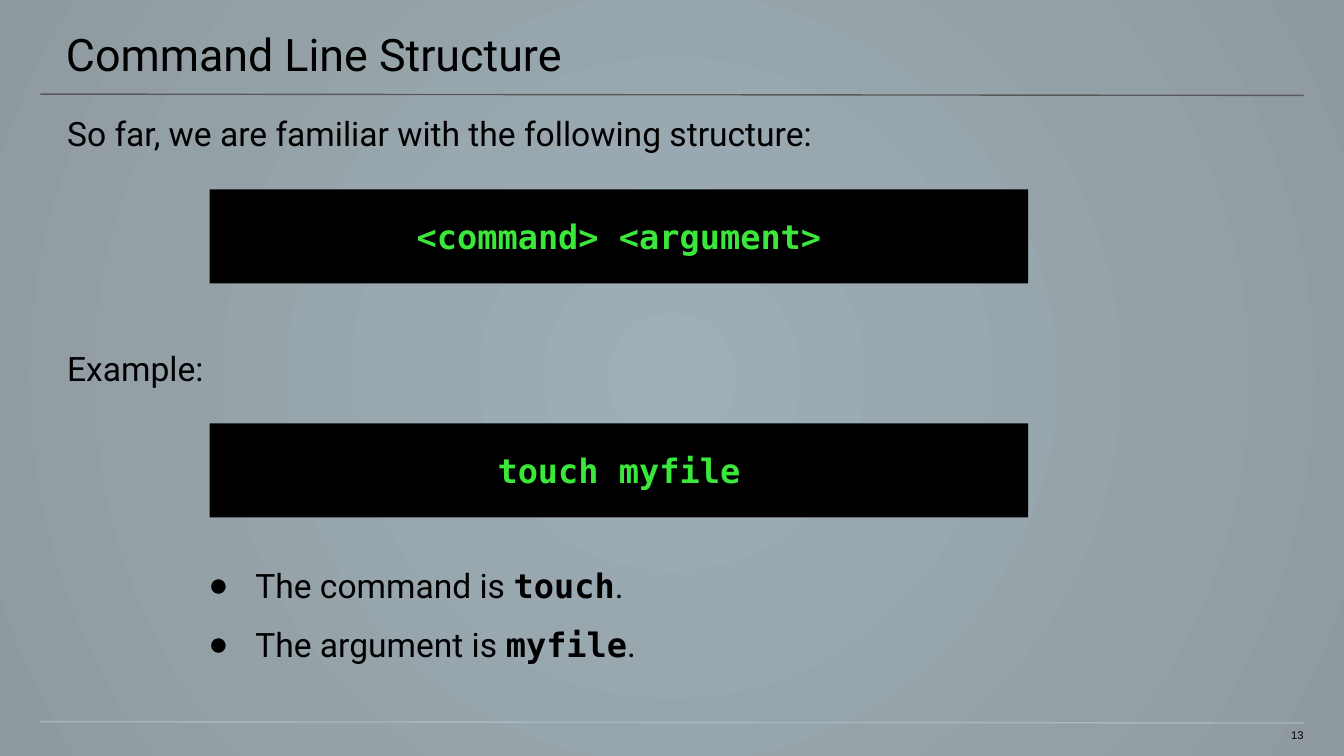
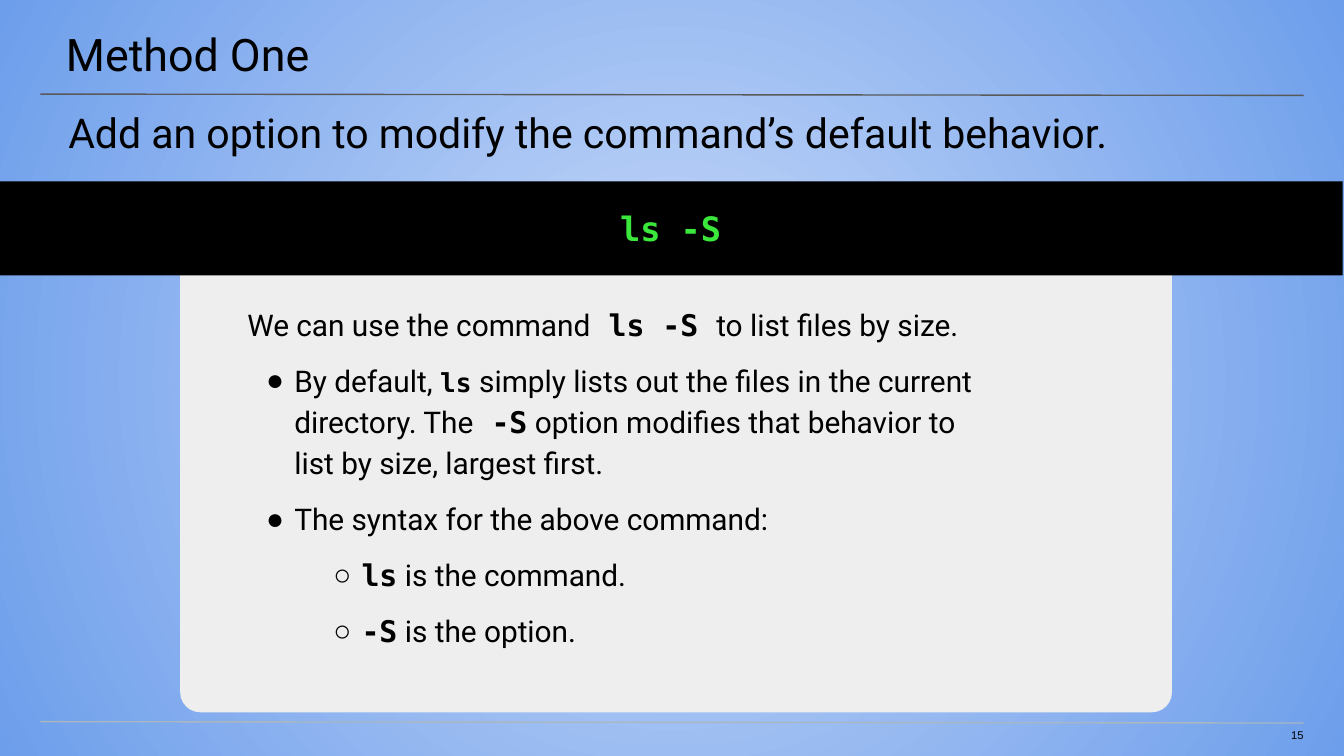
from collections import namedtuple

from lxml import etree
from pptx import Presentation
from pptx.dml.color import RGBColor
from pptx.enum.shapes import MSO_CONNECTOR, MSO_SHAPE
from pptx.enum.text import MSO_ANCHOR, MSO_AUTO_SIZE, PP_ALIGN
from pptx.oxml import parse_xml
from pptx.oxml.ns import nsdecls, qn
from pptx.util import Inches, Pt

SANS, MONO, NUMBER_FONT = "Roboto", "DejaVu Sans Mono", "Arial"
BLACK, GREEN, PANEL = "000000", "3BE73B", "EEEEEE"
TITLE_RULE, FOOTER_RULE = "595959", "A9B7C0"
TEXT_INSETS = (0.5, 0.1, 0.5, 0)
EVEN_INSETS = (0.1, 0.1, 0.1, 0.1)

# A command set in the code font; its size defaults to the text around it
Code = namedtuple("Code", "text size", defaults=[None])
# A paragraph: its runs, bullet, left margin and level
Para = namedtuple("Para", "runs bullet margin level", defaults=["", 0, 0])

# Content
STRUCTURE = {
    "title": "Command Line Structure",
    "number": "13",
    "gradient": ("9EAFB8", "8F9A9F"),
    # heading, its top, code below it, top of the code band
    "examples": [
        ("So far, we are familiar with the following structure:", 0.74,
         "<command> <argument>", 1.41),
        ("Example:", 2.49, "touch myfile", 3.15),
    ],
    "parts": [
        Para(["The command is ", Code("touch"), "."], "●", 0.5),
        Para(["The argument is ", Code("myfile"), "."], "●", 0.5),
    ],
}
METHOD = {
    "title": "Method One",
    "number": "15",
    "gradient": ("C9DAF8", "6D9EEB"),
    "summary": "Add an option to modify the command’s default behavior.",
    "command": "ls -S",
    "details": [
        Para(["We can use the command", Code(" ls -S "), "to list files by size."]),
        Para(["By default, ", Code("ls", 14),
              " simply lists out the files in the current directory. The",
              Code(" -S"),
              " option modifies that behavior to list by size, largest first."],
             "●", 0.35),
        Para(["The syntax for the above command:"], "●", 0.35),
        Para([Code("ls"), " is the command."], "○", 0.85, 1),
        Para([Code("-S"), " is the option."], "○", 0.85, 1),
    ],
}


def color(hex_string):
    return RGBColor.from_string(hex_string)


def place(shape, left, top, width, height):
    shape.left, shape.top = Inches(left), Inches(top)
    shape.width, shape.height = Inches(width), Inches(height)


def set_frame(shape, insets, anchor=MSO_ANCHOR.TOP):
    frame = shape.text_frame
    frame.word_wrap = True
    frame.auto_size = MSO_AUTO_SIZE.NONE
    frame.vertical_anchor = anchor
    (frame.margin_left, frame.margin_top,
     frame.margin_right, frame.margin_bottom) = map(Inches, insets)
    return frame


def style_run(run, size, font=SANS, fill=BLACK, bold=False):
    run.font.size, run.font.name, run.font.bold = Pt(size), font, bold
    run.font.color.rgb = color(fill)


def write_line(shape, text, size, insets, align=PP_ALIGN.LEFT,
               anchor=MSO_ANCHOR.TOP, **style):
    frame = set_frame(shape, insets, anchor)
    frame.text = text
    paragraph = frame.paragraphs[0]
    paragraph.alignment = align
    style_run(paragraph.runs[0], size, **style)
    return paragraph


def add_line_box(slide, box, text, size, insets=TEXT_INSETS, **style):
    textbox = slide.shapes.add_textbox(*map(Inches, box))
    return write_line(textbox, text, size, insets, **style)


def set_indent(paragraph, margin, hanging, bullet=""):
    props = paragraph._p.get_or_add_pPr()
    props.set("marL", str(Inches(margin)))
    props.set("indent", str(Inches(-hanging)))
    if bullet:
        props.append(parse_xml(
            f'<a:buClr {nsdecls("a")}><a:srgbClr val="{BLACK}"/></a:buClr>'))
        etree.SubElement(props, qn("a:buChar"), char=bullet)
    else:
        etree.SubElement(props, qn("a:buNone"))


def write_list(shape, paras, size, insets, hanging, gap, spacing=1.0):
    frame = set_frame(shape, insets)
    for index, para in enumerate(paras):
        paragraph = frame.add_paragraph() if index else frame.paragraphs[0]
        paragraph.level = para.level
        set_indent(paragraph, para.margin, hanging if para.bullet else 0, para.bullet)
        paragraph.alignment = PP_ALIGN.LEFT
        paragraph.line_spacing = spacing
        paragraph.space_before = Pt(gap if index else 0)
        for part in para.runs:
            run = paragraph.add_run()
            if isinstance(part, Code):
                run.text = part.text
                style_run(run, part.size or size, MONO, bold=True)
            else:
                run.text = part
                style_run(run, size)


def add_filled(slide, kind, box, fill):
    shape = slide.shapes.add_shape(kind, *map(Inches, box))
    shape.shadow.inherit = False
    shape.fill.solid()
    shape.fill.fore_color.rgb = color(fill)
    shape.line.fill.background()
    return shape


def add_code_band(slide, text, left, top, width):
    band = add_filled(slide, MSO_SHAPE.RECTANGLE, (left, top, width, 0.7), BLACK)
    write_line(band, text, 18, EVEN_INSETS, PP_ALIGN.CENTER, MSO_ANCHOR.MIDDLE,
               font=MONO, fill=GREEN, bold=True)


def add_rule(slide, top, fill):
    rule = slide.shapes.add_connector(
        MSO_CONNECTOR.STRAIGHT, Inches(0.3), Inches(top), Inches(9.7), Inches(top + 0.01))
    rule.line.color.rgb = color(fill)
    rule.line.width = Pt(0.75)
    etree.SubElement(rule._element.spPr, qn("a:effectLst"))


def set_radial_background(slide, colors):
    fill = slide.background.fill
    fill.gradient()
    for stop, position, shade in zip(fill.gradient_stops, (0, 1), colors):
        stop.position = position
        stop.color.rgb = color(shade)
    linear = slide._element.find(".//" + qn("a:lin"))
    linear.getparent().replace(linear, parse_xml(
        f'<a:path {nsdecls("a")} path="circle">'
        '<a:fillToRect l="50000" t="50000" r="50000" b="50000"/></a:path>'))


def start_slide(deck, content, title_height):
    """Add what every slide shares: background, rules, title and number."""
    slide = deck.slides.add_slide(deck.slide_layouts[1])
    set_radial_background(slide, content["gradient"])
    add_rule(slide, 0.7, TITLE_RULE)
    add_rule(slide, 5.37, FOOTER_RULE)
    title = slide.shapes.title
    place(title, -0.01, 0, 10.03, title_height)
    write_line(title, content["title"], 24, (0.5, 0.2, 0.3, 0.1))
    add_line_box(slide, (9.41, 5.42, 0.29, 0.12), content["number"], 6,
                 (0, 0, 0, 0.1), align=PP_ALIGN.RIGHT, font=NUMBER_FONT)
    return slide


def build_structure(deck):
    slide = start_slide(deck, STRUCTURE, 0.58)
    for heading, heading_top, code, code_top in STRUCTURE["examples"]:
        add_line_box(slide, (0, heading_top, 10, 0.4), heading, 18)
        add_code_band(slide, code, 1.56, code_top, 6.09)
    parts = slide.placeholders[1]
    place(parts, 0.9, 4.1, 9.1, 0.4)
    write_list(parts, STRUCTURE["parts"], 18, TEXT_INSETS, hanging=0.35, gap=10)


def build_method(deck):
    slide = start_slide(deck, METHOD, 0.7)

    # Panel behind the details, rounded at its lower corners
    panel = add_filled(slide, MSO_SHAPE.ROUND_2_SAME_RECTANGLE,
                       (1.34, 1.98, 7.38, 3.32), PANEL)
    panel.rotation = 180
    panel.adjustments[0], panel.adjustments[1] = 0.045, 0
    slide.shapes._spTree.insert(2, panel._element)

    details = slide.placeholders[1]
    place(details, 1.34, 2.24, 6.61, 1.69)
    write_list(details, METHOD["details"], 16, (0.5, 0, 0.5, 1),
               hanging=0.21, gap=8, spacing=1.15)

    add_code_band(slide, METHOD["command"], -0.01, 1.35, 10)
    summary = add_line_box(slide, (0.03, 0.7, 10, 0.7), METHOD["summary"], 22, EVEN_INSETS)
    set_indent(summary, 0.38, 0)


def main():
    deck = Presentation()
    deck.slide_width = Inches(10)
    deck.slide_height = deck.slide_width * 9 // 16
    build_structure(deck)
    build_method(deck)
    deck.save("out.pptx")


if __name__ == "__main__":
    main()
